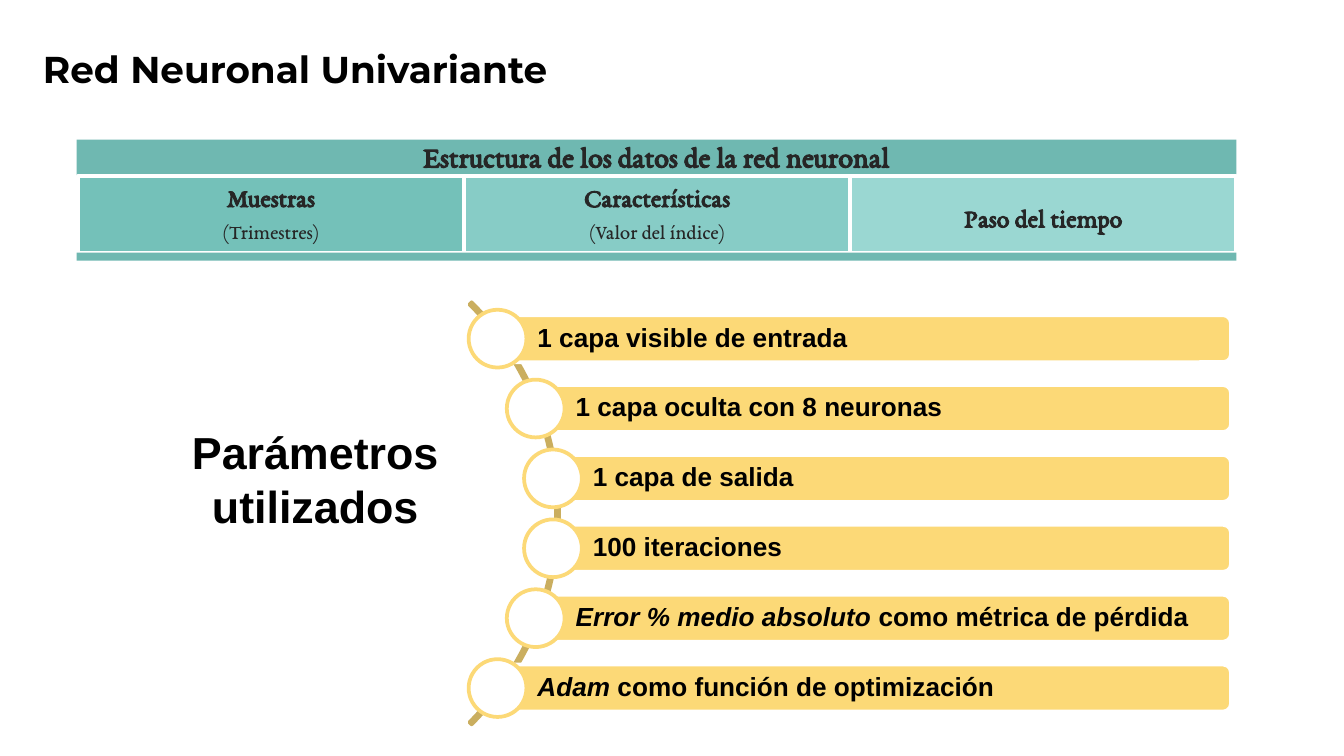
from math import sqrt

from pptx import Presentation
from pptx.dml.color import RGBColor
from pptx.enum.shapes import MSO_SHAPE as Preset
from pptx.enum.text import MSO_ANCHOR as Anchor, PP_ALIGN as Align
from pptx.util import Inches, Pt

BLACK, WHITE, GRAY = "000000", "FFFFFF", "262626"
TEAL, GOLD, DARK_GOLD = "6FB8B1", "FCD977", "CAAE5F"
SERIF = "EB Garamond"


def color(hex_value):
    return RGBColor.from_string(hex_value)


def add_preset(slide, preset, box, fill=None, line=None):
    shape = slide.shapes.add_shape(preset, *(Inches(value) for value in box))
    shape.shadow.inherit = False
    if fill:
        shape.fill.solid()
        shape.fill.fore_color.rgb = color(fill)
    else:
        shape.fill.background()
    if line:
        shape.line.color.rgb = color(line)
        shape.line.width = Pt(2)
    else:
        shape.line.fill.background()
    return shape


def set_insets(frame, left, top, right, bottom):
    frame.margin_left, frame.margin_top = Inches(left), Inches(top)
    frame.margin_right, frame.margin_bottom = Inches(right), Inches(bottom)


def write(shape, paragraphs, font, ink, align=Align.LEFT, anchor=Anchor.MIDDLE,
          spacing=None):
    """Each paragraph is a list of runs: (text, size, bold, italic)."""
    frame = shape.text_frame
    frame.word_wrap = True
    frame.vertical_anchor = anchor
    for index, runs in enumerate(paragraphs):
        paragraph = frame.add_paragraph() if index else frame.paragraphs[0]
        paragraph.alignment = align
        if spacing:
            paragraph.line_spacing = spacing
        if index < len(paragraphs) - 1:
            paragraph.space_after = Pt(5)
        for text, size, bold, italic in runs:
            run = paragraph.add_run()
            run.text = text
            run.font.name, run.font.size = font, Pt(size)
            run.font.bold, run.font.italic = bold, italic
            run.font.color.rgb = color(ink)


def add_label(slide, box, text, font, size, align, anchor, inset=None):
    label = slide.shapes.add_textbox(*(Inches(value) for value in box))
    if inset:
        set_insets(label.text_frame, *[inset] * 4)
    write(label, [[(text, size, True, False)]], font, BLACK, align, anchor)


def add_data_structure(slide, left, top, width):
    header_height, column_height, footer_height = 0.27, 0.57, 0.06

    # Header band
    header = add_preset(slide, Preset.RECTANGLE, (left, top, width, header_height), TEAL)
    set_insets(header.text_frame, *[0.07] * 4)
    write(header, [[("Estructura de los datos de la red neuronal", 16, True, False)]],
          SERIF, GRAY, Align.CENTER, spacing=0.9)

    # Three columns
    columns = [
        ("74C1B9", "Muestras", "(Trimestres)"),
        ("87CCC6", "Características", "(Valor del índice)"),
        ("9AD7D2", "Paso del tiempo", None),
    ]
    column_top = top + header_height
    column_width = (width - 0.01) / len(columns)
    for index, (fill, name, detail) in enumerate(columns):
        box = (left + 0.01 + index * column_width, column_top, column_width, column_height)
        column = add_preset(slide, Preset.RECTANGLE, box, fill, WHITE)
        set_insets(column.text_frame, 0.06, 0.06 if detail else 0.13, 0.06, 0.06)
        paragraphs = [[(name, 14, True, False)]]
        if detail:
            paragraphs.append([(detail, 11, False, False)])
        write(column, paragraphs, SERIF, GRAY, Align.CENTER, spacing=0.9)

    # Footer band
    add_preset(slide, Preset.RECTANGLE,
               (left, column_top + column_height, width, footer_height), TEAL)


def add_parameter_arc(slide, left, top, diameter, right):
    rows = [
        [("1 capa visible de entrada", False)],
        [("1 capa oculta con 8 neuronas", False)],
        [("1 capa de salida", False)],
        [("100 iteraciones", False)],
        [("Error % medio absoluto ", True), ("como métrica de pérdida", False)],
        [("Adam", True), (" como función de optimización", False)],
    ]
    pitch, bar_height, circle_size = 0.52, 0.35, 0.43
    radius = diameter / 2 - 0.03
    center_x, center_y = left + diameter / 2, top + diameter / 2

    # Arc spanning 45 degrees above and below the horizontal
    arc = add_preset(slide, Preset.BLOCK_ARC, (left, top, diameter, diameter),
                     line=DARK_GOLD)
    for index, value in enumerate((189, 27, 0.005)):
        arc.adjustments[index] = value

    # Bars start at the centres of circles that sit on the arc
    for index, runs in enumerate(rows):
        offset = (index - (len(rows) - 1) / 2) * pitch
        x = center_x + sqrt(radius ** 2 - offset ** 2)
        y = center_y + offset
        bar = add_preset(slide, Preset.ROUNDED_RECTANGLE,
                         (x, y - bar_height / 2, right - x, bar_height), GOLD, WHITE)
        set_insets(bar.text_frame, 0.28, 0.04, 0.04, 0.04)
        write(bar, [[(text, 14, True, italic) for text, italic in runs]],
              "Arial", BLACK, spacing=0.9)
        add_preset(slide, Preset.OVAL,
                   (x - circle_size / 2, y - circle_size / 2, circle_size, circle_size),
                   WHITE, GOLD)


def main():
    # Widescreen page, 16:9
    presentation = Presentation()
    presentation.slide_width = Inches(10)
    presentation.slide_height = Inches(10 * 9 / 16)
    slide = presentation.slides.add_slide(presentation.slide_layouts[6])

    add_parameter_arc(slide, -0.28, 1.6, 4.44, 9.16)
    add_data_structure(slide, 0.57, 1.04, 8.63)
    add_label(slide, (1.02, 3.11, 2.65, 0.91), "Parámetros utilizados",
              "Arial", 24, Align.CENTER, Anchor.TOP)
    add_label(slide, (0.22, 0.34, 9.19, 0.34), "Red Neuronal Univariante",
              "Montserrat", 20, Align.LEFT, Anchor.MIDDLE, 0.1)

    presentation.save("out.pptx")


if __name__ == "__main__":
    main()
